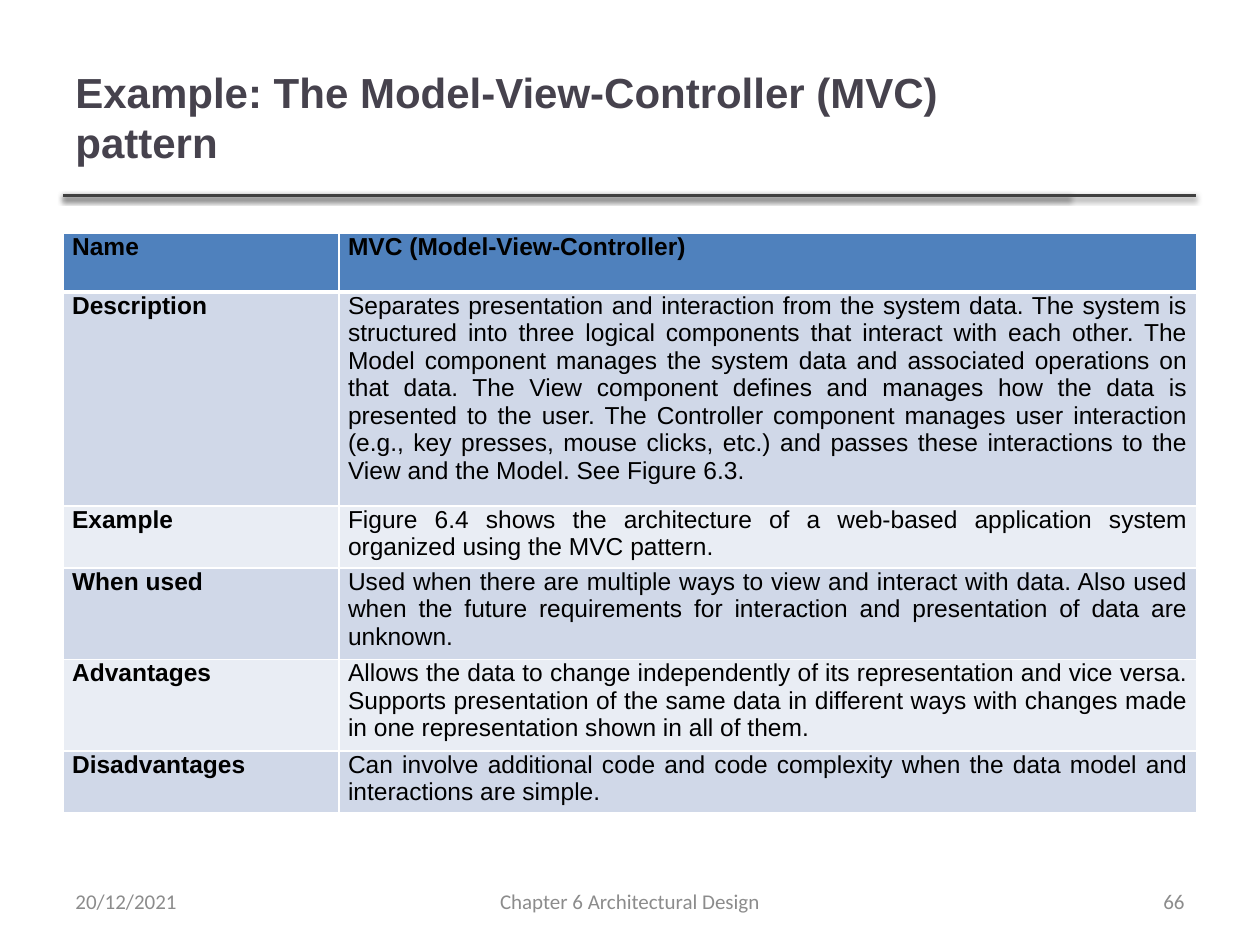
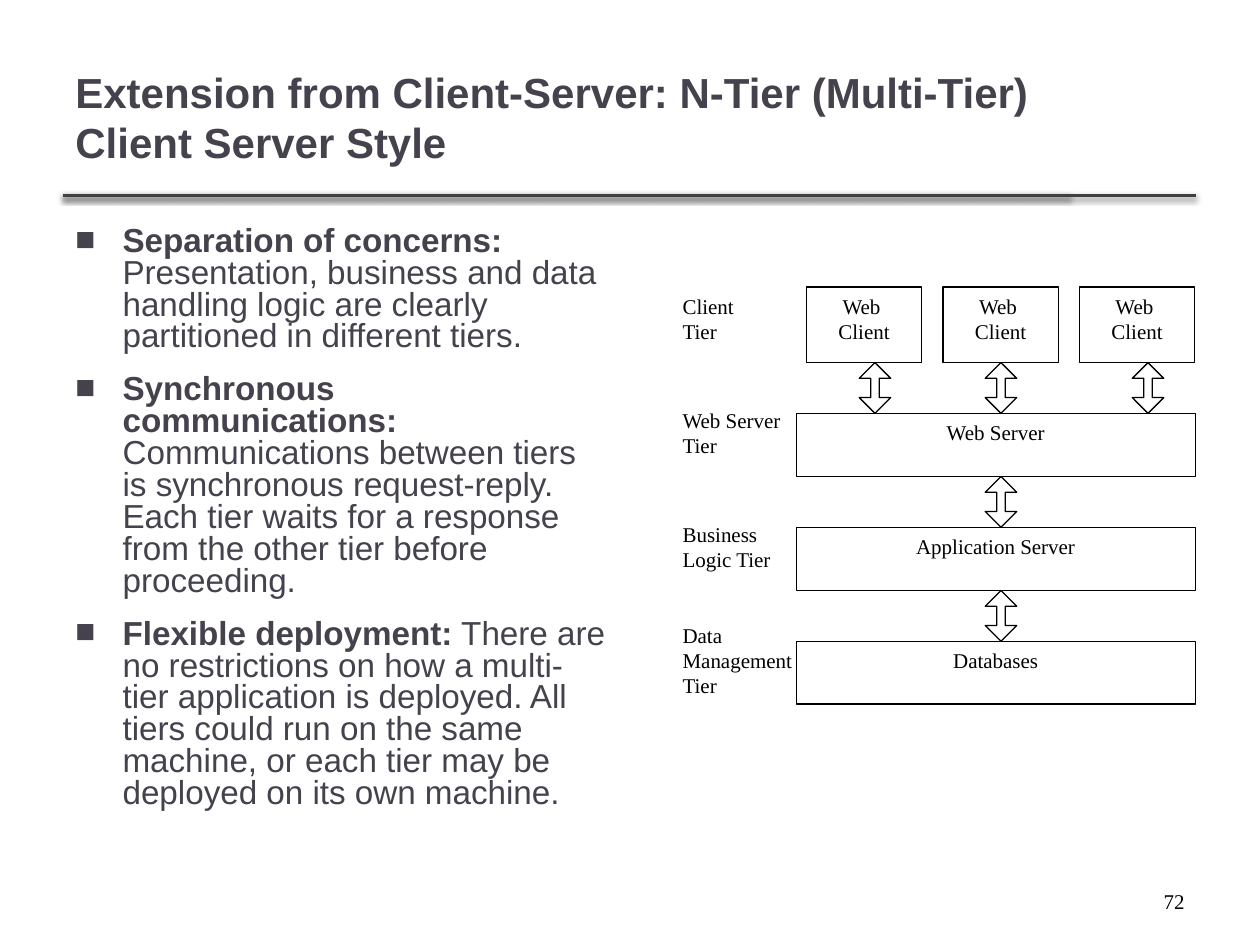
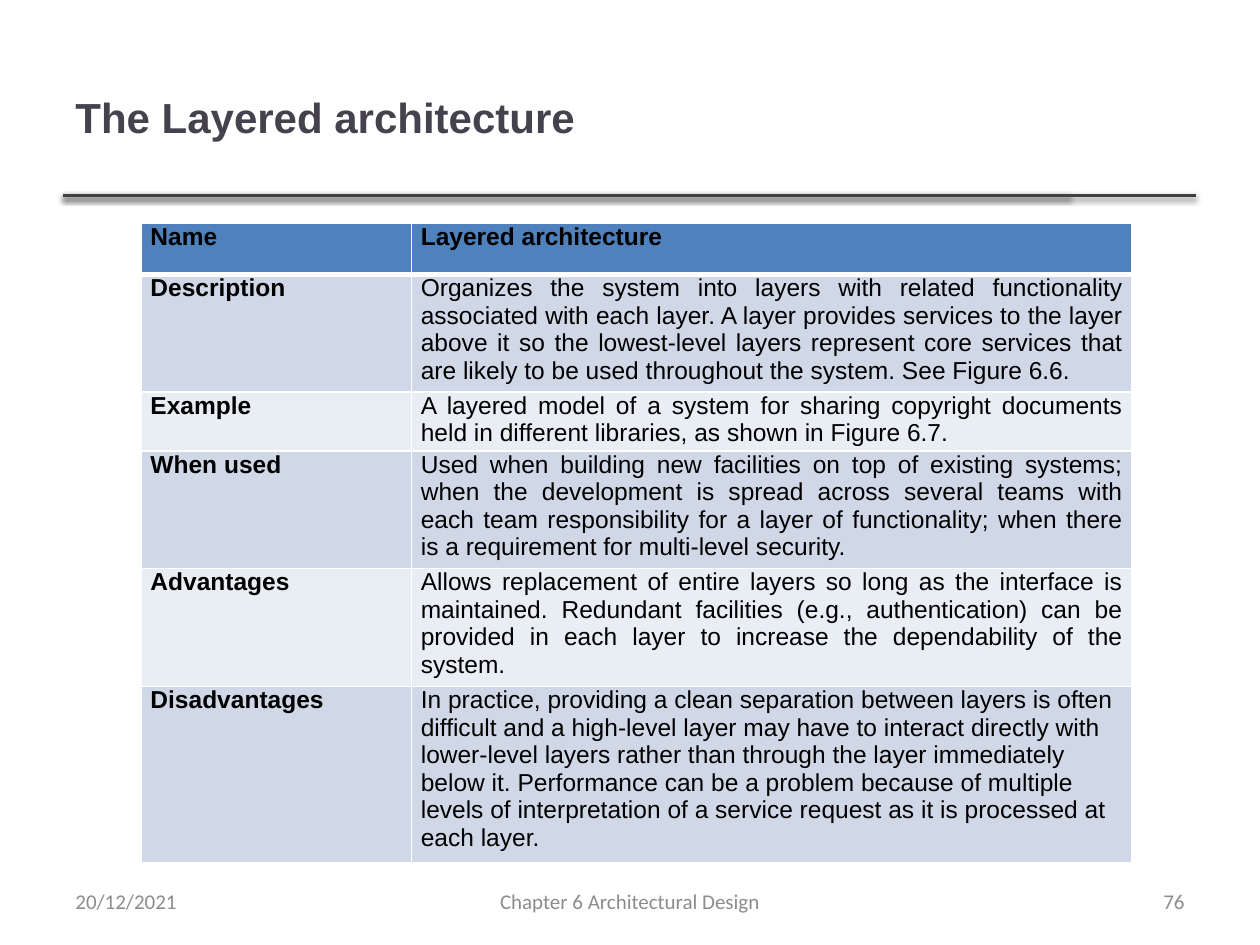
from lxml.etree import SubElement
from pptx import Presentation
from pptx.dml.color import RGBColor
from pptx.enum.shapes import MSO_CONNECTOR, MSO_SHAPE
from pptx.enum.text import MSO_ANCHOR, PP_ALIGN
from pptx.oxml import parse_xml
from pptx.oxml.ns import nsdecls, qn
from pptx.util import Pt

COLORS = {
    "background": "FFFFFF",
    "heading": "46424D",
    "rule": "404040",
    "footer": "8C8C8C",
    "ink": "000000",
    "table_header": "4F81BD",
    "band_dark": "D0D8E8",
    "band_light": "E9EDF4",
}
TITLE_STYLE = ("Arial", 24, "heading")
BODY_STYLE = ("Arial", 19, "heading")
TABLE_STYLE = ("Arial", 14, "ink")
DIAGRAM_STYLE = ("Times New Roman", 12, "ink")
FOOTER_STYLE = ("Calibri", 12, "footer")

ROW_NAMES = ["Name", "Description", "Example", "When used", "Advantages", "Disadvantages"]

MVC_TEXTS = [
    "MVC (Model-View-Controller)",
    "Separates presentation and interaction from the system data. The system is structured "
    "into three logical components that interact with each other. The Model component manages "
    "the system data and associated operations on that data. The View component defines and "
    "manages how the data is presented to the user. The Controller component manages user "
    "interaction (e.g., key presses, mouse clicks, etc.) and passes these interactions to the "
    "View and the Model. See Figure 6.3.",
    "Figure 6.4 shows the architecture of a web-based application system organized using the "
    "MVC pattern.",
    "Used when there are multiple ways to view and interact with data. Also used when the "
    "future requirements for interaction and presentation of data are unknown.",
    "Allows the data to change independently of its representation and vice versa. Supports "
    "presentation of the same data in different ways with changes made in one representation "
    "shown in all of them.",
    "Can involve additional code and code complexity when the data model and interactions are "
    "simple.",
]

LAYERED_TEXTS = [
    "Layered architecture",
    "Organizes the system into layers with related functionality associated with each layer. "
    "A layer provides services to the layer above it so the lowest-level layers represent core "
    "services that are likely to be used throughout the system. See Figure 6.6.",
    "A layered model of a system for sharing copyright documents held in different libraries, "
    "as shown in Figure 6.7.",
    "Used when building new facilities on top of existing systems; when the development is "
    "spread across several teams with each team responsibility for a layer of functionality; "
    "when there is a requirement for multi-level security.",
    "Allows replacement of entire layers so long as the interface is maintained. Redundant "
    "facilities (e.g., authentication) can be provided in each layer to increase the "
    "dependability of the system.",
    "In practice, providing a clean separation between layers is often difficult and a "
    "high-level layer may have to interact directly with lower-level layers rather than through "
    "the layer immediately below it. Performance can be a problem because of multiple levels of "
    "interpretation of a service request as it is processed at each layer.",
]

TIER_POINTS = [
    ("Separation of concerns:",
     " Presentation, business and data handling logic are clearly partitioned in different "
     "tiers."),
    ("Synchronous communications:",
     " Communications between tiers is synchronous request-reply. Each tier waits for a "
     "response from the other tier before proceeding."),
    ("Flexible deployment:",
     " There are no restrictions on how a multi-tier application is deployed. All tiers could "
     "run on the same machine, or each tier may be deployed on its own machine."),
]


def color(name):
    """Return the named palette colour."""
    return RGBColor.from_string(COLORS[name])


def add_run(paragraph, text, style, bold=False):
    """Append one formatted run to a paragraph."""
    run = paragraph.add_run()
    run.text = text
    run.font.name, size, color_name = style
    run.font.size = Pt(size)
    run.font.bold = bold
    run.font.color.rgb = color(color_name)


def next_paragraph(frame, index):
    """Return the first paragraph of a frame, or a new one after it."""
    return frame.add_paragraph() if index else frame.paragraphs[0]


def write_lines(frame, lines, style, alignment=PP_ALIGN.LEFT, bold=False):
    """Write each line as a paragraph of its own."""
    for index, line in enumerate(lines):
        paragraph = next_paragraph(frame, index)
        paragraph.alignment = alignment
        add_run(paragraph, line, style, bold)


def add_text_frame(slide, left, top, width, height, anchor=MSO_ANCHOR.TOP):
    """Add a wrapping text box and return its text frame."""
    frame = slide.shapes.add_textbox(Pt(left), Pt(top), Pt(width), Pt(height)).text_frame
    frame.word_wrap = True
    frame.vertical_anchor = anchor
    return frame


def add_rule(slide, right):
    """Draw a shadowed line below the title, ending at right."""
    rule = slide.shapes.add_connector(
        MSO_CONNECTOR.STRAIGHT, Pt(36), Pt(111.6), Pt(right), Pt(111.6))
    rule.line.color.rgb = color("rule")
    rule.line.width = Pt(2)
    effects = SubElement(rule._element.spPr, qn("a:effectLst"))
    effects.append(parse_xml(
        f'<a:outerShdw {nsdecls("a")} blurRad="{Pt(3.1)}" dist="{Pt(1.6)}" dir="5400000" '
        f'algn="ctr" rotWithShape="0"><a:srgbClr val="{COLORS["ink"]}">'
        '<a:alpha val="38000"/></a:srgbClr></a:outerShdw>'))


def add_titled_slide(presentation, title):
    """Add a blank slide with the double rule and a title."""
    slide = presentation.slides.add_slide(presentation.slide_layouts[6])
    slide.background.fill.solid()
    slide.background.fill.fore_color.rgb = color("background")
    for right in (611.3, 683.3):
        add_rule(slide, right)
    frame = add_text_frame(slide, 36, 21.6, 574.6, 90, MSO_ANCHOR.MIDDLE)
    write_lines(frame, [title], TITLE_STYLE, bold=True)
    return slide


def add_slide_number(slide, number, style):
    """Write the slide number at the lower right."""
    frame = add_text_frame(slide, 516, 500.4, 168, 28.8, MSO_ANCHOR.MIDDLE)
    write_lines(frame, [str(number)], style, PP_ALIGN.RIGHT)


def add_footer(slide, number):
    """Write the date, chapter and slide number."""
    date = add_text_frame(slide, 36, 500.4, 168, 28.8, MSO_ANCHOR.MIDDLE)
    write_lines(date, ["20/12/2021"], FOOTER_STYLE)
    chapter = add_text_frame(slide, 246, 500.4, 228, 28.8, MSO_ANCHOR.MIDDLE)
    write_lines(chapter, ["Chapter 6 Architectural Design"], FOOTER_STYLE, PP_ALIGN.CENTER)
    add_slide_number(slide, number, FOOTER_STYLE)


def set_borders(cell, top, bottom):
    """Give a cell white borders with the given top and bottom widths."""
    properties = cell._tc.get_or_add_tcPr()
    for index, (side, width) in enumerate(zip("LRTB", (1, 1, top, bottom))):
        properties.insert(index, parse_xml(
            f'<a:ln{side} {nsdecls("a")} w="{Pt(width)}"><a:solidFill>'
            f'<a:srgbClr val="{COLORS["background"]}"/></a:solidFill></a:ln{side}>'))


def format_cell(cell, row):
    """Set the fill, margins and borders that belong to a table row."""
    band = "band_dark" if row % 2 else "band_light"
    cell.fill.solid()
    cell.fill.fore_color.rgb = color(band if row else "table_header")
    cell.margin_left = cell.margin_right = Pt(5.2)
    cell.margin_top = cell.margin_bottom = Pt(0)
    set_borders(cell, 3 if row == 1 else 1, 1 if row else 3)


def add_pattern_table(slide, left, top, widths, heights, texts, last=PP_ALIGN.JUSTIFY):
    """Add the table that describes a pattern; last aligns its final text."""
    table = slide.shapes.add_table(
        len(texts), 2, Pt(left), Pt(top), Pt(sum(widths)), Pt(sum(heights))).table
    for column, width in zip(table.columns, widths):
        column.width = Pt(width)
    for row, (height, name, text) in enumerate(zip(heights, ROW_NAMES, texts)):
        table.rows[row].height = Pt(height)
        text_alignment = last if row == len(texts) - 1 else PP_ALIGN.JUSTIFY
        contents = [(name, True, PP_ALIGN.JUSTIFY), (text, row == 0, text_alignment)]
        for column, (content, bold, alignment) in enumerate(contents):
            cell = table.cell(row, column)
            format_cell(cell, row)
            write_lines(cell.text_frame, [content], TABLE_STYLE, alignment, bold)


def add_bullets(slide, points):
    """Write square-bulleted points, each with a bold lead."""
    frame = add_text_frame(slide, 36, 126, 318, 356.4)
    for index, (lead, text) in enumerate(points):
        paragraph = next_paragraph(frame, index)
        properties = paragraph._p.get_or_add_pPr()
        properties.set("marL", str(Pt(27)))
        properties.set("indent", str(Pt(-27)))
        paragraph.line_spacing = 0.8
        paragraph.space_before = Pt(6 if index else 0)
        paragraph.space_after = Pt(6)
        SubElement(properties, qn("a:buFont")).set("typeface", "Arial")
        SubElement(properties, qn("a:buChar")).set("char", "■")
        add_run(paragraph, lead, BODY_STYLE, bold=True)
        add_run(paragraph, text, BODY_STYLE)


def add_outlined_shape(slide, kind, left, top, width, height):
    """Add a white shape with a thin black outline."""
    shape = slide.shapes.add_shape(kind, Pt(left), Pt(top), Pt(width), Pt(height))
    shape.shadow.inherit = False
    shape.fill.solid()
    shape.fill.fore_color.rgb = color("background")
    shape.line.color.rgb = color("ink")
    shape.line.width = Pt(0.75)
    return shape


def add_box(slide, left, top, width, height, lines):
    """Add a rectangle with centred lines at its top."""
    box = add_outlined_shape(slide, MSO_SHAPE.RECTANGLE, left, top, width, height)
    box.text_frame.vertical_anchor = MSO_ANCHOR.TOP
    write_lines(box.text_frame, lines, DIAGRAM_STYLE, PP_ALIGN.CENTER)


def add_double_arrow(slide, left, top):
    """Add a two-headed arrow that fills the gap between two tiers."""
    arrow = add_outlined_shape(slide, MSO_SHAPE.UP_DOWN_ARROW, left, top, 18, 29)
    arrow.adjustments[0] = 0.5
    arrow.adjustments[1] = 0.27


def add_tier_diagram(slide):
    """Draw the client boxes, server tiers, arrows and tier labels."""
    for index in range(3):
        add_box(slide, 460.8 + 78 * index, 164, 66, 43.2, ["Web ", "Client"])
    servers = [
        ("Web Server", (491, 563, 647)),
        ("Application Server", (563,)),
        ("Databases", (563,)),
    ]
    for index, (name, arrow_lefts) in enumerate(servers):
        top = 236.2 + 65.1 * index
        add_box(slide, 455, top, 228, 36, [name])
        for left in arrow_lefts:
            add_double_arrow(slide, left, top - 29)
    labels = [
        (164, 43.2, ["Client", "Tier"]),
        (229.2, 43.2, ["Web Server", "Tier"]),
        (294.3, 43.2, ["Business Logic Tier"]),
        (352.2, 57.6, ["Data", "Management Tier"]),
    ]
    for top, height, lines in labels:
        write_lines(add_text_frame(slide, 383, top, 78, height), lines, DIAGRAM_STYLE)


def main():
    """Build the three slides and save them."""
    presentation = Presentation()
    presentation.slide_width = Pt(720)
    presentation.slide_height = Pt(540)

    slide = add_titled_slide(presentation, "Example: The Model-View-Controller (MVC) pattern")
    add_pattern_table(slide, 36, 133.2, (157.7, 490.3),
                      (33.6, 122.4, 35.3, 52.4, 52.4, 35.3), MVC_TEXTS)
    add_footer(slide, 66)

    slide = add_titled_slide(
        presentation, "Extension from Client-Server: N-Tier (Multi-Tier) Client Server Style")
    add_bullets(slide, TIER_POINTS)
    add_tier_diagram(slide)
    add_slide_number(slide, 72, DIAGRAM_STYLE)

    slide = add_titled_slide(presentation, "The Layered architecture")
    add_pattern_table(slide, 80.8, 127.5, (154.5, 411.7), [29.2] * 6,
                      LAYERED_TEXTS, PP_ALIGN.LEFT)
    add_footer(slide, 76)

    presentation.save("out.pptx")


if __name__ == "__main__":
    main()
